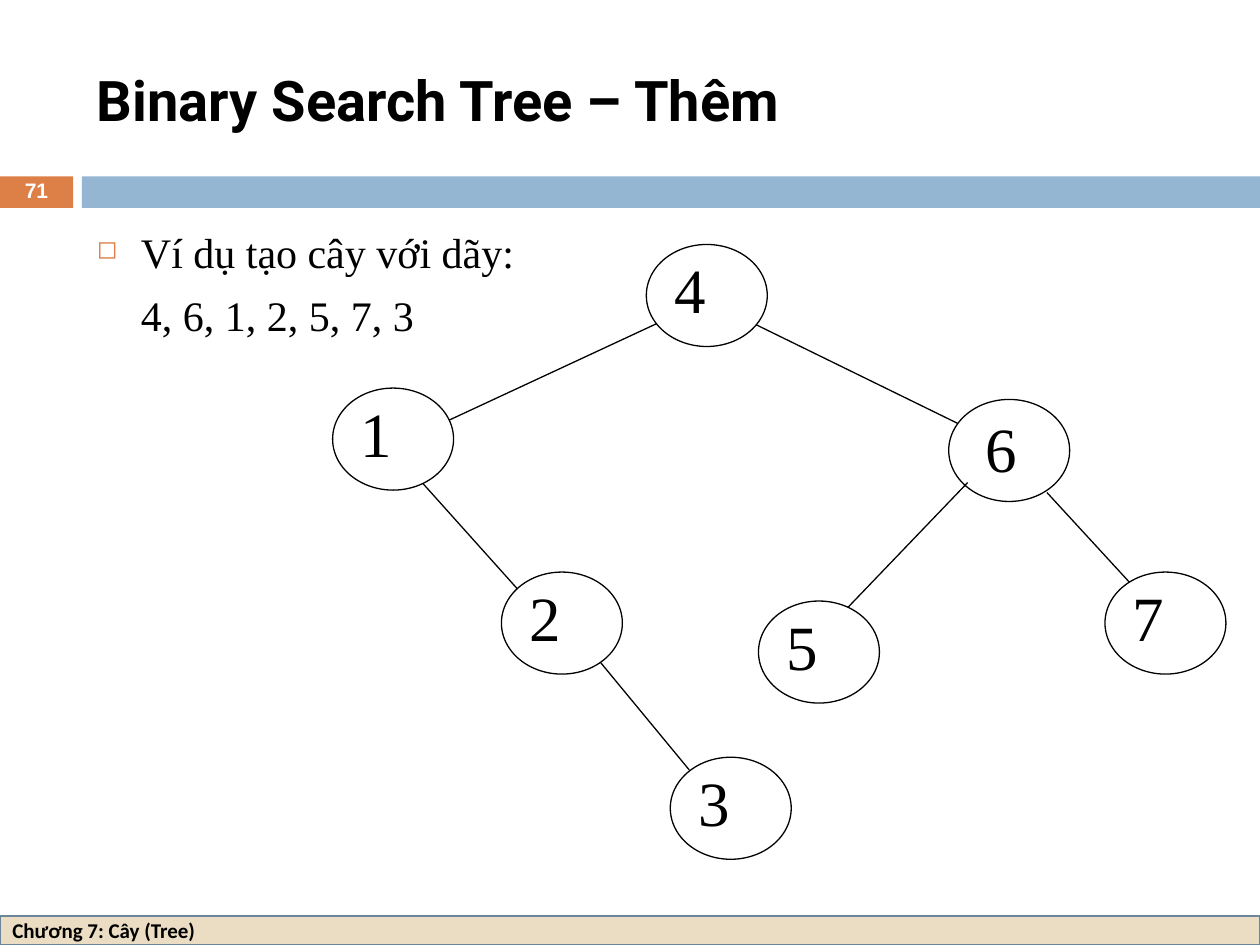
"""Builds the slide on inserting keys into a binary search tree."""
from dataclasses import dataclass

from lxml import etree
from pptx import Presentation
from pptx.dml.color import RGBColor
from pptx.enum.shapes import MSO_CONNECTOR, MSO_SHAPE
from pptx.enum.text import MSO_ANCHOR, PP_ALIGN
from pptx.oxml.ns import qn
from pptx.util import Inches, Pt

RECTANGLE, OVAL = MSO_SHAPE.RECTANGLE, MSO_SHAPE.OVAL
STRAIGHT = MSO_CONNECTOR.STRAIGHT
TOP, MIDDLE = MSO_ANCHOR.TOP, MSO_ANCHOR.MIDDLE
LEFT, CENTER = PP_ALIGN.LEFT, PP_ALIGN.CENTER


@dataclass(frozen=True)
class Theme:
    ink: str = "000000"
    paper: str = "FFFFFF"
    accent: str = "DD8047"
    band: str = "94B6D2"
    footer: str = "EBDDC3"
    footer_edge: str = "6B859A"
    title_font: str = "Roboto"
    body_font: str = "Times New Roman"
    footer_font: str = "Calibri"
    number_font: str = "Arial"
    title_size: int = 32
    body_size: int = 24
    key_size: int = 36
    small_size: int = 12
    hairline: float = 0.75


class TreeSlide:
    def __init__(self, slide, theme):
        self.slide = slide
        self.theme = theme

    def box(self, kind, left, top, width, height, fill, edge=None, weight=0.75):
        shape = self.slide.shapes.add_shape(
            kind, Inches(left), Inches(top), Inches(width), Inches(height))
        shape.shadow.inherit = False
        shape.fill.solid()
        shape.fill.fore_color.rgb = RGBColor.from_string(fill)
        if edge:
            shape.line.color.rgb = RGBColor.from_string(edge)
            shape.line.width = Pt(weight)
        else:
            shape.line.fill.background()
        return shape

    def set_text(self, shape, text, font, size, color, bold=False, align=LEFT, anchor=MIDDLE):
        frame = shape.text_frame
        frame.word_wrap = True
        frame.vertical_anchor = anchor
        frame.text = text
        for paragraph in frame.paragraphs:
            paragraph.alignment = align
            for run in paragraph.runs:
                run.font.name = font
                run.font.size = Pt(size)
                run.font.bold = bold
                run.font.color.rgb = RGBColor.from_string(color)
        return frame

    def label(self, left, top, width, height, text, *style, **options):
        holder = self.slide.shapes.add_textbox(
            Inches(left), Inches(top), Inches(width), Inches(height))
        return self.set_text(holder, text, *style, **options)

    def bullet(self, paragraph, indent):
        properties = paragraph._p.get_or_add_pPr()
        properties.set("indent", str(-Inches(indent)))
        color = etree.SubElement(properties, qn("a:buClr"))
        etree.SubElement(color, qn("a:srgbClr"), val=self.theme.accent)
        etree.SubElement(properties, qn("a:buSzPct"), val="60000")
        etree.SubElement(properties, qn("a:buChar"), char="◻")

    def body(self, left, top, width, height, text, indent):
        frame = self.label(left, top, width, height, text, self.theme.body_font,
                           self.theme.body_size, self.theme.ink, anchor=TOP)
        for paragraph in frame.paragraphs:
            paragraph._p.get_or_add_pPr().set("marL", str(Inches(indent)))
        first, *others = frame.paragraphs
        self.bullet(first, indent)
        for paragraph in others:
            paragraph.space_before = Pt(7)

    def node(self, key, left, top, shift=(0, 0)):
        self.box(OVAL, left, top, 0.96, 0.81, self.theme.paper, self.theme.ink,
                 self.theme.hairline)
        frame = self.label(left + shift[0], top + shift[1], 0.96, 0.7, key,
                           self.theme.body_font, self.theme.key_size,
                           self.theme.ink, anchor=TOP)
        frame.margin_left = Inches(0.22)

    def edge(self, start, end):
        line = self.slide.shapes.add_connector(
            STRAIGHT, *(Inches(value) for value in (*start, *end)))
        line.line.color.rgb = RGBColor.from_string(self.theme.ink)
        line.line.width = Pt(self.theme.hairline)
        etree.SubElement(line._element.spPr, qn("a:effectLst"))


EDGES = [
    ((4.76, 5.25), (5.47, 6.11)),
    ((8.31, 3.91), (9.34, 5.03)),
    ((7.68, 3.83), (6.5, 5.06)),
    ((3.35, 3.83), (4.13, 4.7)),
    ((5.51, 2.43), (3.51, 3.36)),
    ((5.7, 2.43), (7.6, 3.36)),
]
NODES = [
    ("4", 5.13, 1.94),
    ("1", 2.64, 3.08),
    ("2", 3.98, 4.54),
    ("5", 6.02, 4.77),
    ("7", 8.77, 4.54),
    ("3", 5.32, 6.01),
]


def main():
    theme = Theme()
    deck = Presentation()
    deck.slide_width, deck.slide_height = Inches(10), Inches(7.5)
    page = TreeSlide(deck.slides.add_slide(deck.slide_layouts[6]), theme)

    page.box(RECTANGLE, 0, 1.4, 0.58, 0.25, theme.accent)
    page.box(RECTANGLE, 0.65, 1.4, 9.35, 0.25, theme.band)
    footer = page.box(RECTANGLE, 0, 7.27, 10, 0.23, theme.footer, theme.footer_edge, 1.5)
    page.set_text(footer, "Chương 7: Cây (Tree)", theme.footer_font, theme.small_size,
                  theme.ink, bold=True)
    number = page.label(0, 1.39, 0.58, 0.27, "71", theme.number_font, theme.small_size,
                        theme.paper, bold=True, align=CENTER)
    number.paragraphs[0].line_spacing = 0.8

    page.node("6", 7.53, 3.17, shift=(0.07, 0.03))
    for start, end in EDGES:
        page.edge(start, end)
    for key, left, top in NODES:
        page.node(key, left, top)

    page.label(0.67, 0.25, 8.92, 1.08, "Binary Search Tree – Thêm", theme.title_font,
               theme.title_size, theme.ink, bold=True)
    page.body(0.67, 1.75, 8.92, 4.95, "Ví dụ tạo cây với dãy:\n4, 6, 1, 2, 5, 7, 3", 0.35)
    deck.save("out.pptx")


if __name__ == "__main__":
    main()
